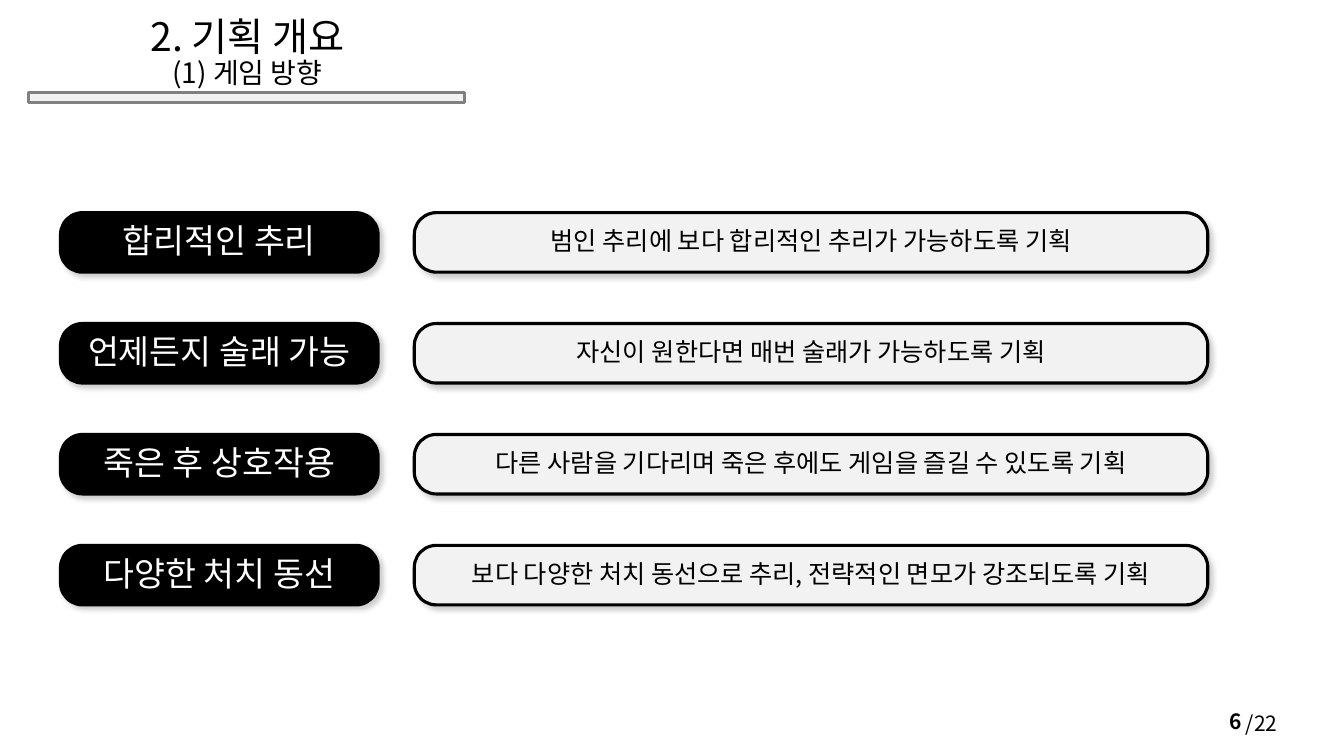
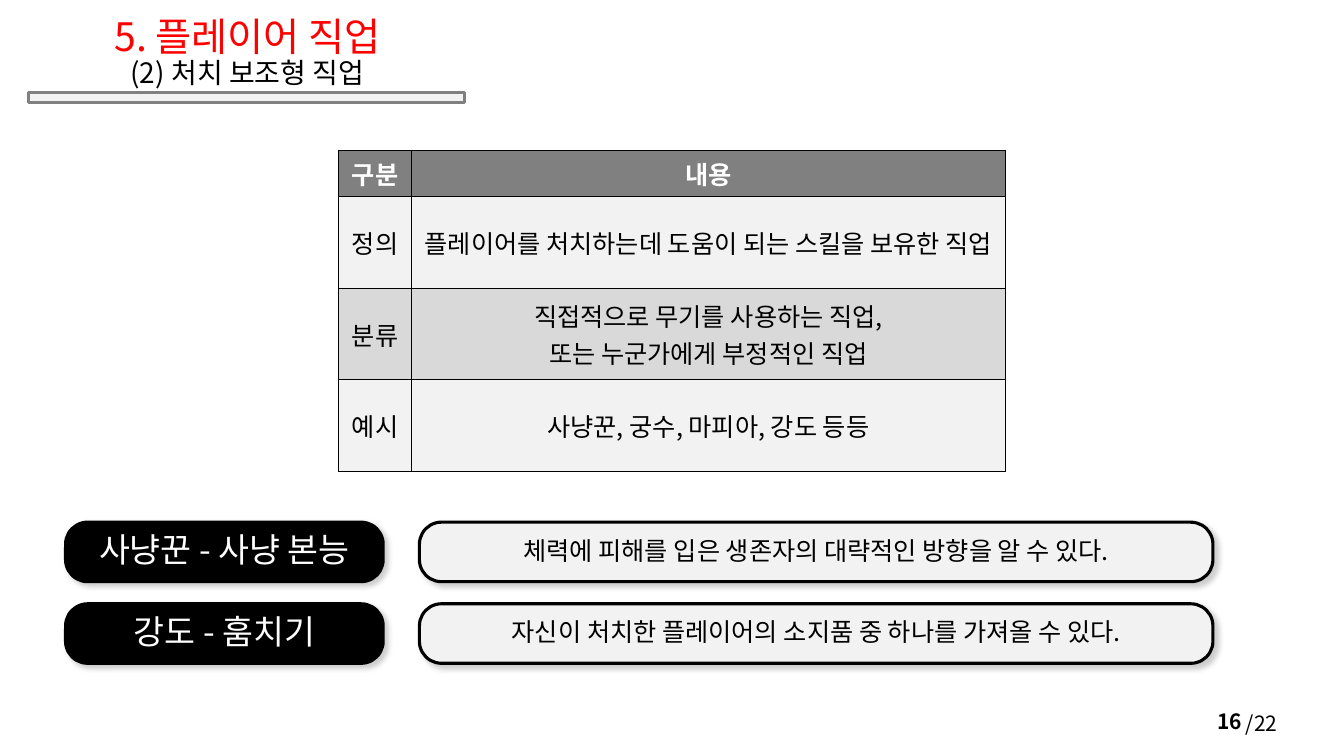
from lxml.etree import SubElement
from pptx import Presentation
from pptx.dml.color import RGBColor
from pptx.enum.shapes import MSO_SHAPE
from pptx.enum.text import MSO_ANCHOR, PP_ALIGN
from pptx.oxml import parse_xml
from pptx.oxml.ns import nsdecls, qn
from pptx.util import Inches, Pt

SLIDE_W, SLIDE_H = Inches(13.33), Inches(7.5)
FONT = "Noto Sans CJK KR"
BLACK, WHITE, RED = "000000", "FFFFFF", "FF0000"
PALE, SILVER, GREY = "F2F2F2", "D9D9D9", "808080"
PAGE_TOTAL = 22

PILL_H, LABEL_W, DETAIL_W, DETAIL_OFFSET = 7.87, 23.63, 59.04, 26.33
HEADER_ROW, BODY_ROW = 6.13, 12.13
TABLE_COLUMNS = (5.4, 44.19)

DIRECTIONS = [
    ("합리적인 추리", "범인 추리에 보다 합리적인 추리가 가능하도록 기획"),
    ("언제든지 술래 가능", "자신이 원한다면 매번 술래가 가능하도록 기획"),
    ("죽은 후 상호작용", "다른 사람을 기다리며 죽은 후에도 게임을 즐길 수 있도록 기획"),
    ("다양한 처치 동선", "보다 다양한 처치 동선으로 추리, 전략적인 면모가 강조되도록 기획"),
]
JOB_TABLE = [
    ("구분", "내용"),
    ("정의", "플레이어를 처치하는데 도움이 되는 스킬을 보유한 직업"),
    ("분류", "직접적으로 무기를 사용하는 직업,\n또는 누군가에게 부정적인 직업"),
    ("예시", "사냥꾼, 궁수, 마피아, 강도 등등"),
]
SKILLS = [
    ("사냥꾼 - 사냥 본능", "체력에 피해를 입은 생존자의 대략적인 방향을 알 수 있다."),
    ("강도 - 훔치기", "자신이 처치한 플레이어의 소지품 중 하나를 가져올 수 있다."),
]


def across(share):
    """Length for a percentage of the slide width."""
    return round(SLIDE_W * share / 100)


def down(share):
    """Length for a percentage of the slide height."""
    return round(SLIDE_H * share / 100)


def area(left, top, width, height):
    """Position and size from percentages of the slide."""
    return across(left), down(top), across(width), down(height)


def rgb(value):
    """Colour from a hex string."""
    return RGBColor.from_string(value)


def style(paragraph, size, color, bold=False, align=PP_ALIGN.CENTER, spacing=None):
    """Set the font and alignment of one paragraph."""
    paragraph.alignment = align
    paragraph.line_spacing = spacing
    font = paragraph.font
    font.name, font.size, font.bold = FONT, Pt(size), bold
    font.color.rgb = rgb(color)
    defaults = paragraph._p.get_or_add_pPr().get_or_add_defRPr()
    SubElement(defaults, qn("a:ea"), typeface=FONT)


def add_label(slide, box, text, anchor=MSO_ANCHOR.TOP):
    """Add a wrapping text box and return its paragraphs."""
    frame = slide.shapes.add_textbox(*area(*box)).text_frame
    frame.word_wrap = True
    frame.vertical_anchor = anchor
    frame.text = text
    return frame.paragraphs


def add_panel(slide, kind, box, fill, line):
    """Add an outlined preset shape without a shadow."""
    panel = slide.shapes.add_shape(kind, *area(*box))
    panel.shadow.inherit = False
    panel.fill.solid()
    panel.fill.fore_color.rgb = rgb(fill)
    panel.line.color.rgb = rgb(line)
    panel.line.width = Pt(2.25)
    return panel


def add_pill(slide, box, text, fill, color, size):
    """Add a rounded box with centred text and a soft shadow."""
    pill = add_panel(slide, MSO_SHAPE.ROUNDED_RECTANGLE, box, fill, BLACK)
    pill.adjustments[0] = 0.37
    effects = pill._element.spPr.find(qn("a:effectLst"))
    effects.append(parse_xml(
        f'<a:outerShdw {nsdecls("a")} blurRad="{Pt(4)}" dist="{Pt(3)}" dir="2700000" '
        f'algn="tl" rotWithShape="0"><a:srgbClr val="{BLACK}">'
        '<a:alpha val="20000"/></a:srgbClr></a:outerShdw>'))
    frame = pill.text_frame
    frame.word_wrap = True
    frame.vertical_anchor = MSO_ANCHOR.MIDDLE
    frame.text = text
    style(frame.paragraphs[0], size, color, spacing=0.9)


def add_pill_rows(slide, pairs, left, top, step):
    """Stack label and detail pills at an equal step."""
    for row, (label, detail) in enumerate(pairs):
        y = top + row * step
        add_pill(slide, (left, y, LABEL_W, PILL_H), label, BLACK, WHITE, 24)
        add_pill(slide, (left + DETAIL_OFFSET, y, DETAIL_W, PILL_H), detail, PALE, BLACK, 18)


def paint_cell(cell, fill):
    """Fill a table cell and draw its thin black borders."""
    cell.fill.solid()
    cell.fill.fore_color.rgb = rgb(fill)
    properties = cell._tc.get_or_add_tcPr()
    for place, side in enumerate(("lnL", "lnR", "lnT", "lnB")):
        properties.insert(place, parse_xml(
            f'<a:{side} {nsdecls("a")} w="{Pt(1)}"><a:solidFill>'
            f'<a:srgbClr val="{BLACK}"/></a:solidFill></a:{side}>'))


def add_job_table(slide, left, top):
    """Add the table that defines a kind of job."""
    heights = [HEADER_ROW] + [BODY_ROW] * (len(JOB_TABLE) - 1)
    box = area(left, top, sum(TABLE_COLUMNS), sum(heights))
    table = slide.shapes.add_table(len(JOB_TABLE), len(TABLE_COLUMNS), *box).table
    table.horz_banding = False
    for column, width in zip(table.columns, TABLE_COLUMNS):
        column.width = across(width)
    for index, (row, height, texts) in enumerate(zip(table.rows, heights, JOB_TABLE)):
        row.height = down(height)
        header = index == 0
        fill = GREY if header else (SILVER, PALE)[index % 2]
        for cell, text in zip(row.cells, texts):
            cell.text = text
            cell.vertical_anchor = MSO_ANCHOR.MIDDLE
            paint_cell(cell, fill)
            for paragraph in cell.text_frame.paragraphs:
                style(paragraph, 18, WHITE if header else BLACK, bold=header)


def add_page(deck, number, title, subtitle, title_color=BLACK):
    """Add a blank slide with its heading, bar and page number."""
    slide = deck.slides.add_slide(deck.slide_layouts[6])
    total = add_label(slide, (91.97, 93.33, 5.55, 4.67), f"/{PAGE_TOTAL}")
    style(total[0], 15, BLACK, align=PP_ALIGN.LEFT)
    add_panel(slide, MSO_SHAPE.RECTANGLE, (2.1, 12.27, 32.48, 1.33), PALE, GREY)
    heading = add_label(slide, (2.85, 3.87, 31.13, 8.67), f"{title}\n{subtitle}", MSO_ANCHOR.BOTTOM)
    style(heading[0], 28, title_color, spacing=0.9)
    style(heading[1], 20, BLACK, spacing=0.9)
    current = add_label(slide, (70.67, 92.67, 22.5, 5.33), str(number), MSO_ANCHOR.MIDDLE)
    style(current[0], 15, BLACK, bold=True, align=PP_ALIGN.RIGHT)
    return slide


def main():
    """Build and save the deck."""
    deck = Presentation()
    deck.slide_width, deck.slide_height = SLIDE_W, SLIDE_H

    overview = add_page(deck, 6, "2. 기획 개요", "(1) 게임 방향")
    add_pill_rows(overview, DIRECTIONS, left=4.5, top=28.13, step=14.67)

    jobs = add_page(deck, 16, "5. 플레이어 직업", "(2) 처치 보조형 직업", RED)
    add_job_table(jobs, left=25.21, top=19.87)
    add_pill_rows(jobs, SKILLS, left=4.88, top=69.07, step=10.8)

    deck.save("out.pptx")


if __name__ == "__main__":
    main()
